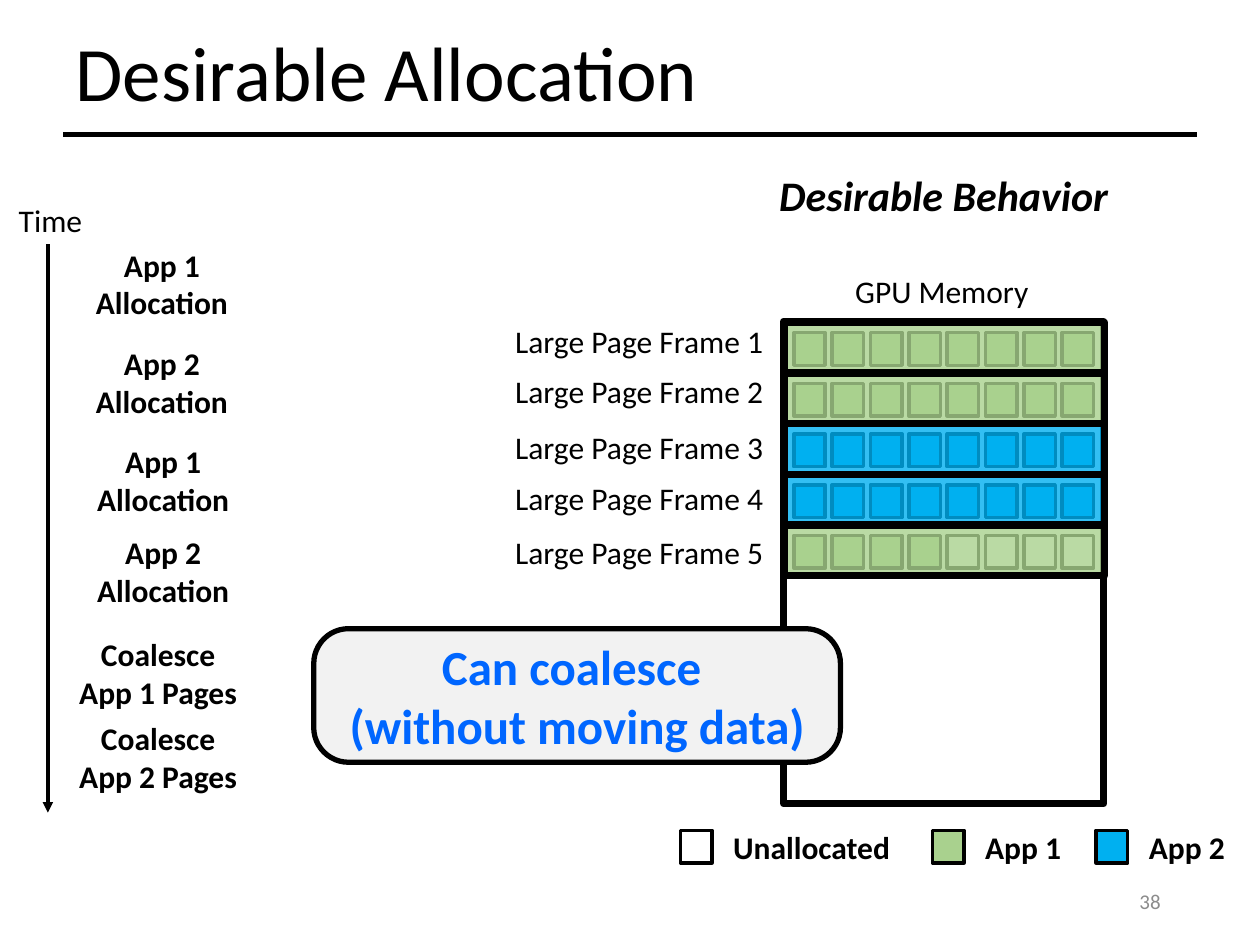
import pptx
import pptx.util
import pptx.dml.color
import pptx.enum.shapes
import pptx.enum.text
import pptx.oxml.ns
from lxml import etree

Inches, Pt = pptx.util.Inches, pptx.util.Pt
SHAPE = pptx.enum.shapes.MSO_SHAPE
ALIGN = pptx.enum.text.PP_ALIGN
ANCHOR = pptx.enum.text.MSO_ANCHOR
qn = pptx.oxml.ns.qn

# Content
TITLE = "Desirable Allocation"
PAGE_NUMBER = "38"
PAGES = 8
FRAMES = [  # label, label top, owner, pages in use
    ("Large Page Frame 1", 2.51, "app1", 8),
    ("Large Page Frame 2", 2.9, "app1", 8),
    ("Large Page Frame 3", 3.35, "app2", 8),
    ("Large Page Frame 4", 3.75, "app2", 8),
    ("Large Page Frame 5", 4.18, "app1", 4),
]
EVENTS = [  # left, top, lines
    (0.49, 1.9, ["App 1 Allocation"]),
    (0.49, 2.68, ["App 2 Allocation"]),
    (0.5, 3.46, ["App 1 Allocation"]),
    (0.5, 4.18, ["App 2 Allocation"]),
    (0.46, 4.99, ["Coalesce", "App 1 Pages"]),
    (0.46, 5.66, ["Coalesce", "App 2 Pages"]),
]
LEGEND = [  # swatch left, label width, colour, label
    (5.4, 1.59, "free", "Unallocated"),
    (7.4, 0.95, "app1", "App 1"),
    (8.7, 0.95, "app2", "App 2"),
]
CALLOUT = ["Can coalesce ", "(without moving data)"]

THEME = {
    "font": "Calibri",
    "color": {"ink": "000000", "free": "FFFFFF", "app1": "A9D18E", "app2": "00B0F0",
              "callout": "F2F2F2", "accent": "0066FF", "muted": "8C8C8C"},
    "size": {"title": 44, "callout": 28, "heading": 24, "body": 18, "number": 12},
}

# Geometry
MEM_LEFT, MEM_TOP, MEM_W, MEM_H = 6.22, 2.55, 2.54, 3.83
FRAME_TOP, FRAME_H = 2.56, 0.4
FRAME_PITCH = (4.17 - FRAME_TOP) / (len(FRAMES) - 1)
PAGE_LEFT, PAGE_W, PAGE_H = 6.3, 0.25, 0.26
PAGE_PITCH = (8.43 - PAGE_LEFT) / (PAGES - 1)


def rgb(name):
    return pptx.dml.color.RGBColor.from_string(THEME["color"][name])


def write(tf, lines, size="body", color="ink", bold=False, italic=False, align=ALIGN.LEFT):
    for i, line in enumerate(lines):
        p = tf.paragraphs[0] if i == 0 else tf.add_paragraph()
        p.alignment = align
        r = p.add_run()
        r.text = line
        r.font.name = THEME["font"]
        r.font.size = Pt(THEME["size"][size])
        r.font.bold, r.font.italic = bold, italic
        r.font.color.rgb = rgb(color)


def add_text(s, box, lines, wrap=True, anchor=ANCHOR.TOP, **style):
    tf = s.shapes.add_textbox(*map(Inches, box)).text_frame
    tf.word_wrap = wrap
    tf.vertical_anchor = anchor
    write(tf, lines, **style)


def add_box(s, box, fill=None, width=2, kind=SHAPE.RECTANGLE, opacity=None):
    sp = s.shapes.add_shape(kind, *map(Inches, box))
    sp.shadow.inherit = False
    sp.line.color.rgb = rgb("ink")
    sp.line.width = Pt(width)
    if fill is None:
        sp.fill.background()
        return sp
    sp.fill.solid()
    sp.fill.fore_color.rgb = rgb(fill)
    if opacity is not None:
        clr = sp.fill._xPr.find(qn("a:solidFill"))[0]
        etree.SubElement(clr, qn("a:alpha")).set("val", str(opacity * 1000))
    return sp


def add_line(s, x1, y1, x2, y2, width, arrow=False):
    c = s.shapes.add_connector(pptx.enum.shapes.MSO_CONNECTOR.STRAIGHT,
                               *map(Inches, (x1, y1, x2, y2)))
    c.line.color.rgb = rgb("ink")
    c.line.width = Pt(width)
    if arrow:
        etree.SubElement(c.line._get_or_add_ln(), qn("a:tailEnd")).set("type", "triangle")
    etree.SubElement(c._element.spPr, qn("a:effectLst"))


def add_title(s):
    title = s.shapes.title
    title.left, title.top, title.width, title.height = map(Inches, (0.5, 0.14, 9, 0.93))
    title.text_frame.vertical_anchor = ANCHOR.MIDDLE
    write(title.text_frame, [TITLE], size="title")
    title.text_frame.paragraphs[0].line_spacing = 0.9
    add_line(s, 0.5, 1.07, 9.5, 1.07, 3)


def add_timeline(s):
    add_text(s, (0.05, 1.55, 0.71, 0.4), ["Time"], wrap=False)
    add_line(s, 0.38, 1.94, 0.38, 6.45, 2, arrow=True)
    for left, top, lines in EVENTS:
        add_text(s, (left, top, 1.59, 0.71), lines, bold=True, align=ALIGN.CENTER)


def add_memory(s):
    add_text(s, (6.07, 1.3, 2.84, 0.5), ["Desirable Behavior"], wrap=False,
             size="heading", bold=True, italic=True, align=ALIGN.CENTER)
    add_text(s, (6.68, 2.11, 1.59, 0.4), ["GPU Memory"], wrap=False, align=ALIGN.CENTER)
    add_box(s, (MEM_LEFT, MEM_TOP, MEM_W, MEM_H), width=4)
    for i, (label, label_top, owner, used) in enumerate(FRAMES):
        top = FRAME_TOP + i * FRAME_PITCH
        add_text(s, (3.99, label_top, 2.19, 0.4), [label], wrap=False)
        for j in range(PAGES):
            add_box(s, (PAGE_LEFT + j * PAGE_PITCH, top + 0.08, PAGE_W, PAGE_H),
                    owner if j < used else "free")
        # Translucent cover tints the whole frame
        add_box(s, (MEM_LEFT + 0.01, top, MEM_W, FRAME_H), owner, width=4, opacity=80)


def add_legend(s):
    for left, label_w, fill, label in LEGEND:
        add_box(s, (left, 6.59, PAGE_W, PAGE_H), fill)
        add_text(s, (left + 0.32, 6.52, label_w, 0.4), [label], bold=True)


def add_callout(s):
    sp = add_box(s, (2.49, 4.99, 4.18, 1.06), "callout", width=3, kind=SHAPE.ROUNDED_RECTANGLE)
    sp.adjustments[0] = 0.26
    sp.text_frame.word_wrap = True
    sp.text_frame.vertical_anchor = ANCHOR.MIDDLE
    write(sp.text_frame, CALLOUT, size="callout", color="accent", bold=True, align=ALIGN.CENTER)


def main():
    prs = pptx.Presentation()
    prs.slide_width, prs.slide_height = Inches(10), Inches(7.5)
    s = prs.slides.add_slide(prs.slide_layouts[5])
    add_title(s)
    add_timeline(s)
    add_memory(s)
    add_legend(s)
    add_callout(s)
    add_text(s, (7.06, 6.95, 2.25, 0.4), [PAGE_NUMBER], anchor=ANCHOR.MIDDLE,
             size="number", color="muted", align=ALIGN.RIGHT)
    prs.save("out.pptx")


if __name__ == "__main__":
    main()
